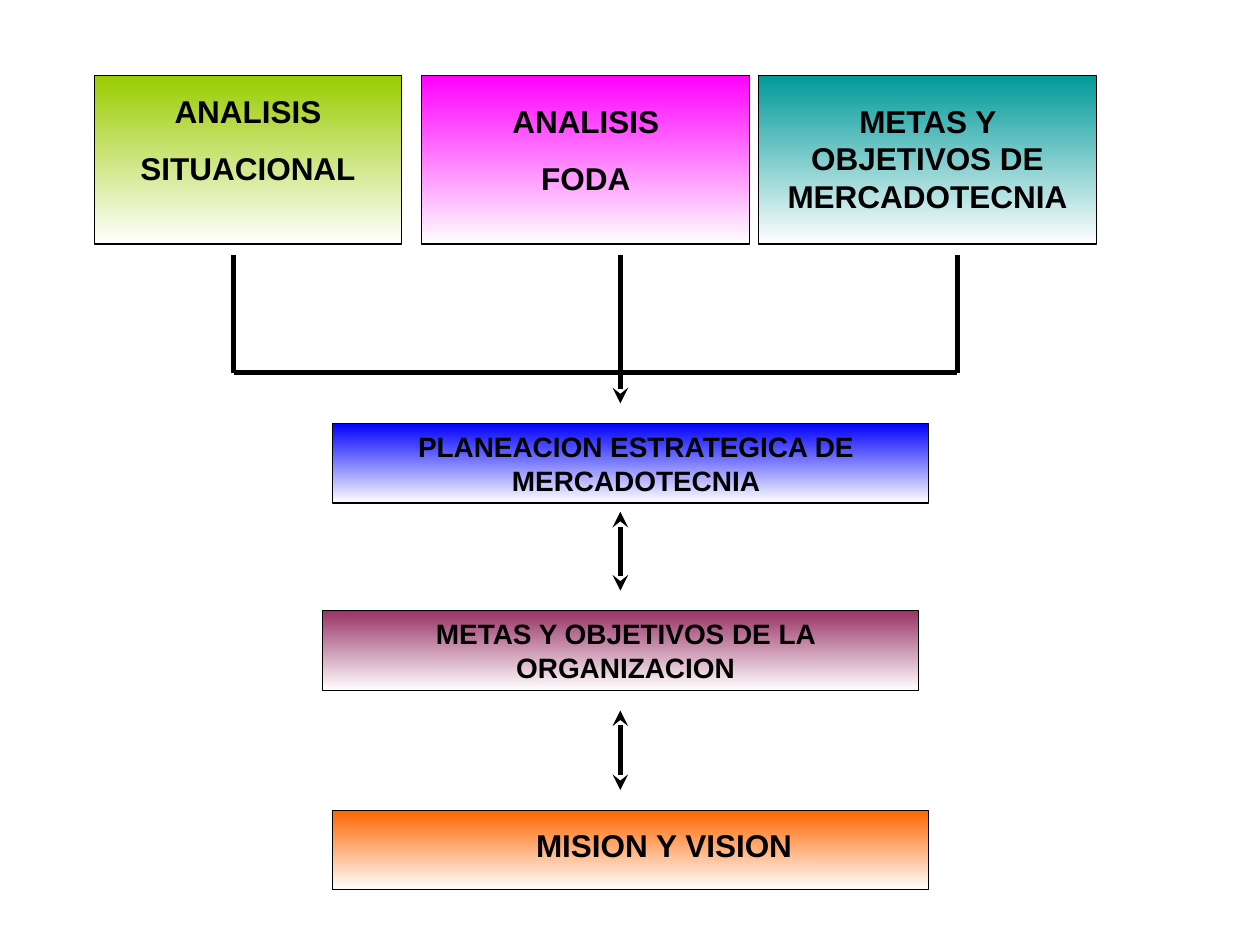
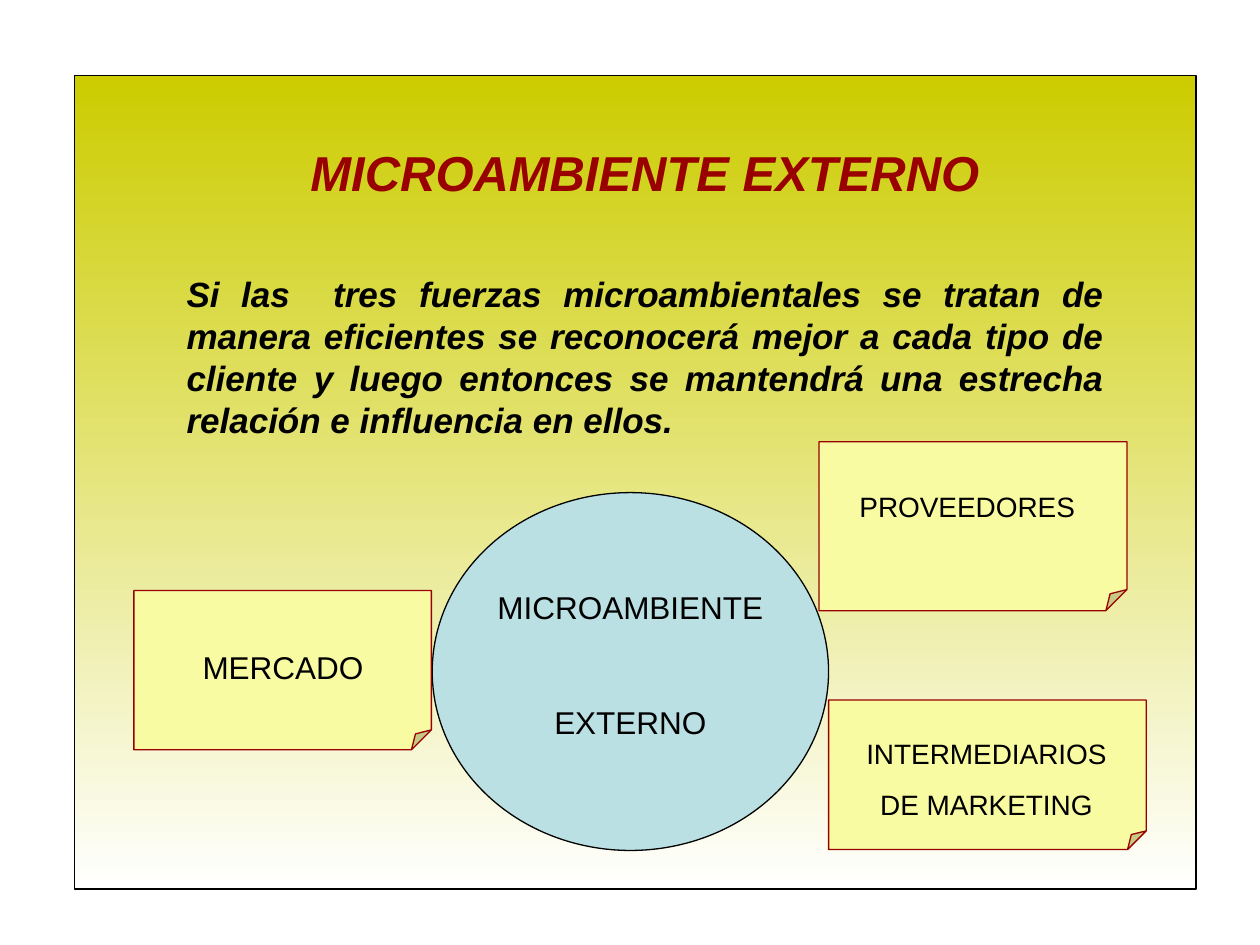
import pptx
import pptx.util
import pptx.dml.color
import pptx.enum.shapes
import pptx.enum.text
import pptx.oxml.ns
import lxml.etree

Pt = pptx.util.Pt
RGBColor = pptx.dml.color.RGBColor
Shape = pptx.enum.shapes.MSO_SHAPE
Align = pptx.enum.text.PP_ALIGN

BLACK = RGBColor(0x00, 0x00, 0x00)
WHITE = RGBColor(0xFF, 0xFF, 0xFF)
BLUE = RGBColor(0x00, 0x00, 0xFF)
ORANGE = RGBColor(0xFF, 0x66, 0x00)
PLUM = RGBColor(0x99, 0x33, 0x66)
LIME = RGBColor(0x99, 0xCC, 0x00)
MAGENTA = RGBColor(0xFF, 0x00, 0xFF)
TEAL = RGBColor(0x00, 0x99, 0x99)
OLIVE = RGBColor(0xCC, 0xCC, 0x00)
DARK_RED = RGBColor(0x99, 0x00, 0x00)
PALE_BLUE = RGBColor(0xBB, 0xE0, 0xE3)
PALE_YELLOW = RGBColor(0xF9, 0xFB, 0xA3)
FONT = "Arial"

INPUT_TOP, INPUT_HEIGHT = 43, 96.5
INPUTS = [
    (54, 175.5, LIME, ["ANALISIS", "SITUACIONAL"], 49),
    (241, 187.5, MAGENTA, ["ANALISIS", "FODA"], 54.5),
    (433.5, 193, TEAL, ["METAS Y OBJETIVOS DE MERCADOTECNIA"], 54.5),
]
LEVEL_WIDTH, LEVEL_HEIGHT = 340.5, 45.5
LEVELS = [
    (190, 242, BLUE, "PLANEACION ESTRATEGICA DE MERCADOTECNIA", (196, 242, 335), 16),
    (184.5, 349, PLUM, "METAS Y OBJETIVOS DE LA ORGANIZACION", (190, 349, 335), 16),
    (190, 463, ORANGE, "MISION Y VISION", (229.5, 468.5, 300), 18),
]
TRUNK_X, LEFT_X, RIGHT_X = 354.5, 133.5, 547
JOIN_TOP, JOIN_BOTTOM, TRUNK_BOTTOM = 145.5, 213, 230.5
TWO_WAY_ARROWS = [(292.5, 337.5), (406, 451.5)]

PANEL = (42.5, 43, 641, 465)
TITLE = "MICROAMBIENTE EXTERNO"
STATEMENT = (
    "Si las  tres fuerzas microambientales se tratan de manera eficientes "
    "se reconocerá mejor a cada tipo de cliente y luego entonces se "
    "mantendrá una estrecha relación e influencia en ellos."
)
CIRCLE = (247, 281.5, 226.5, 204.5)
CIRCLE_TEXT = ["MICROAMBIENTE", "EXTERNO"]
NOTES = [
    ((468, 252.5, 176, 96.5), ["PROVEEDORES"], (479, 276, 147.5, 27), 16),
    ((473.5, 400, 181.5, 85.5), ["INTERMEDIARIOS", "DE MARKETING"], (484.5, 417.5, 158.5, 55.5), 16),
    ((76.5, 337.5, 170, 91), ["MERCADO"], (88, 366.5, 147.5, 29), 18),
]


def points(values):
    return [Pt(value) for value in values]


def add_text(slide, text, frame, size, bold=False, italic=False,
             color=BLACK, align=Align.CENTER, gap=11.25):
    text_frame = slide.shapes.add_textbox(*points(frame)).text_frame
    text_frame.word_wrap = True
    for index, line in enumerate(text):
        paragraph = text_frame.paragraphs[0] if index == 0 else text_frame.add_paragraph()
        paragraph.alignment = align
        paragraph.space_before = Pt(gap if index else 0)
        run = paragraph.add_run()
        run.text = line
        run.font.name = FONT
        run.font.size = Pt(size)
        run.font.bold = bold
        run.font.italic = italic
        run.font.color.rgb = color


def add_outlined(slide, kind, frame, line_color=BLACK):
    shape = slide.shapes.add_shape(kind, *points(frame))
    shape.shadow.inherit = False
    shape.line.color.rgb = line_color
    shape.line.width = Pt(0.75)
    return shape


def add_faded(slide, frame, color):
    fill = add_outlined(slide, Shape.RECTANGLE, frame).fill
    fill.gradient()
    fill.gradient_angle = 270
    for stop, stop_color, position in zip(fill.gradient_stops, (color, WHITE), (0, 1)):
        stop.color.rgb = stop_color
        stop.position = position


def add_solid(slide, kind, frame, color, line_color):
    shape = add_outlined(slide, kind, frame, line_color)
    shape.fill.solid()
    shape.fill.fore_color.rgb = color
    return shape


def add_note(slide, frame):
    note = add_solid(slide, Shape.FOLDED_CORNER, frame, PALE_YELLOW, DARK_RED)
    geometry = note._element.spPr.find(pptx.oxml.ns.qn("a:prstGeom"))
    adjustments = geometry.find(pptx.oxml.ns.qn("a:avLst"))
    lxml.etree.SubElement(adjustments, pptx.oxml.ns.qn("a:gd"), name="adj", fmla="val 12500")


def add_line(slide, start, end, arrow_ends=()):
    connector = slide.shapes.add_connector(
        pptx.enum.shapes.MSO_CONNECTOR.STRAIGHT, *points(start + end))
    connector.line.color.rgb = BLACK
    connector.line.width = Pt(3)
    outline = connector.line._get_or_add_ln()
    for arrow_end in arrow_ends:
        lxml.etree.SubElement(outline, pptx.oxml.ns.qn("a:" + arrow_end), type="stealth")
    lxml.etree.SubElement(connector._element.spPr, pptx.oxml.ns.qn("a:effectLst"))


def build_planning(slide):
    for left, width, color, text, text_top in INPUTS:
        add_faded(slide, (left, INPUT_TOP, width, INPUT_HEIGHT), color)
        add_text(slide, text, (left + 5.75, text_top, width - 11.5, 70), 18, bold=True)
    for left, top, color, text, (text_left, text_top, text_width), size in LEVELS:
        add_faded(slide, (left, top, LEVEL_WIDTH, LEVEL_HEIGHT), color)
        add_text(slide, [text], (text_left, text_top, text_width, LEVEL_HEIGHT), size, bold=True)
    for x in (LEFT_X, RIGHT_X):
        add_line(slide, (x, JOIN_TOP), (x, JOIN_BOTTOM))
    add_line(slide, (LEFT_X, JOIN_BOTTOM), (RIGHT_X, JOIN_BOTTOM))
    add_line(slide, (TRUNK_X, JOIN_TOP), (TRUNK_X, TRUNK_BOTTOM), ["tailEnd"])
    for top, bottom in TWO_WAY_ARROWS:
        add_line(slide, (TRUNK_X, bottom), (TRUNK_X, top), ["headEnd", "tailEnd"])


def build_environment(slide):
    add_faded(slide, PANEL, OLIVE)
    add_text(slide, [TITLE], (93.5, 78, 550, 92), 28, bold=True, italic=True, color=DARK_RED)
    add_text(slide, [STATEMENT], (99.5, 152, 538.5, 103.5), 20, bold=True, italic=True,
             align=Align.JUSTIFY)
    add_solid(slide, Shape.OVAL, CIRCLE, PALE_BLUE, BLACK)
    add_text(slide, CIRCLE_TEXT, (258, 332.5, 204.5, 95), 18, gap=44)
    for frame, text, text_frame, size in NOTES:
        add_note(slide, frame)
        add_text(slide, text, text_frame, size, gap=10)


def main():
    presentation = pptx.Presentation()
    presentation.slide_width, presentation.slide_height = Pt(720), Pt(540)
    for build in (build_planning, build_environment):
        build(presentation.slides.add_slide(presentation.slide_layouts[6]))
    presentation.save("out.pptx")


if __name__ == "__main__":
    main()
